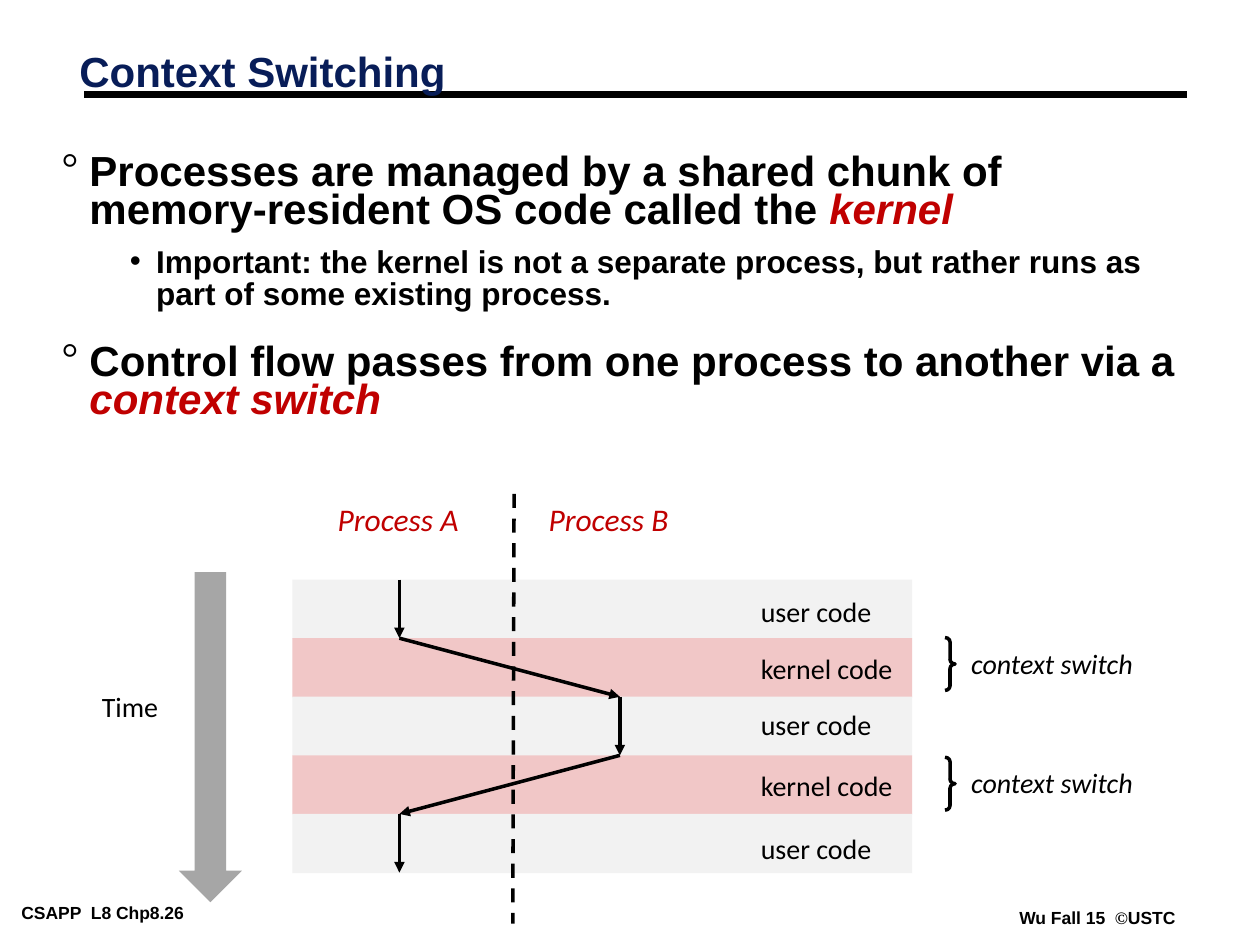
from dataclasses import dataclass
from typing import NamedTuple

import lxml.etree
import pptx
import pptx.dml.color
import pptx.enum.dml
import pptx.enum.shapes
import pptx.enum.text
import pptx.oxml.ns
import pptx.util

Inches = pptx.util.Inches
Shape = pptx.enum.shapes.MSO_SHAPE
Align = pptx.enum.text.PP_ALIGN
qn = pptx.oxml.ns.qn


@dataclass(frozen=True)
class Theme:
    black: str = "000000"
    navy: str = "081D58"
    red: str = "C00000"
    user: str = "F2F2F2"
    kernel: str = "F1C7C7"
    arrow: str = "A6A6A6"
    head_font: str = "Arial"
    label_font: str = "Calibri"
    symbol_font: str = "Times New Roman"
    head: int = 24
    sub: int = 18
    label: int = 16
    footer: int = 10
    rule: float = 4.5
    stroke: float = 2


THEME = Theme()


class Run(NamedTuple):
    text: str
    size: int = THEME.label
    font: str = THEME.label_font
    color: str = THEME.black
    bold: bool = False
    italic: bool = False


class Box(NamedTuple):
    left: float
    top: float
    width: float
    height: float


class Line(NamedTuple):
    x1: float
    y1: float
    x2: float
    y2: float
    width: float = THEME.stroke
    arrow: bool = False
    dashed: bool = False


class Bullet(NamedTuple):
    char: str
    font: str
    margin: float
    hang: float
    spacing: float
    before: float


class Point(NamedTuple):
    bullet: Bullet
    runs: list[Run]


def rgb(color: str) -> pptx.dml.color.RGBColor:
    return pptx.dml.color.RGBColor.from_string(color)


def heading(text: str, size: int = THEME.head, color: str = THEME.black, italic: bool = False) -> Run:
    return Run(text, size, THEME.head_font, color, True, italic)


def add_runs(p, runs: list[Run]) -> None:
    for run in runs:
        r = p.add_run()
        r.text = run.text
        r.font.size = pptx.util.Pt(run.size)
        r.font.name = run.font
        r.font.bold = run.bold
        r.font.italic = run.italic
        r.font.color.rgb = rgb(run.color)


def add_frame(s, box: Box, inset_x: float = 0.07, inset_y: float = 0.03, wrap: bool = True):
    """Add an empty text box and return its text frame."""
    tf = s.shapes.add_textbox(*map(Inches, box)).text_frame
    tf.margin_left = tf.margin_right = Inches(inset_x)
    tf.margin_top = tf.margin_bottom = Inches(inset_y)
    tf.word_wrap = wrap
    if not wrap:
        tf.auto_size = pptx.enum.text.MSO_AUTO_SIZE.SHAPE_TO_FIT_TEXT
    return tf


def add_label(s, box: Box, run: Run, align=Align.LEFT) -> None:
    p = add_frame(s, box, 0.1, 0.05, wrap=False).paragraphs[0]
    p.alignment = align
    add_runs(p, [run])


def add_points(s, box: Box, points: list[Point]) -> None:
    tf = add_frame(s, box)
    for i, (bullet, runs) in enumerate(points):
        p = tf.add_paragraph() if i else tf.paragraphs[0]
        p.line_spacing = bullet.spacing
        if i:
            p.space_before = pptx.util.Pt(bullet.before)
        pPr = p._p.get_or_add_pPr()
        pPr.set("marL", str(Inches(bullet.margin)))
        pPr.set("indent", str(-Inches(bullet.hang)))
        color = lxml.etree.SubElement(pPr, qn("a:buClr"))
        lxml.etree.SubElement(color, qn("a:srgbClr"), val=THEME.black)
        lxml.etree.SubElement(pPr, qn("a:buFont"), typeface=bullet.font)
        lxml.etree.SubElement(pPr, qn("a:buChar"), char=bullet.char)
        add_runs(p, runs)


def add_filled(s, kind, box: Box, color: str) -> None:
    sp = s.shapes.add_shape(kind, *map(Inches, box))
    sp.shadow.inherit = False
    sp.fill.solid()
    sp.fill.fore_color.rgb = rgb(color)
    sp.line.fill.background()


def add_brace(s, box: Box) -> None:
    sp = s.shapes.add_shape(Shape.RIGHT_BRACE, *map(Inches, box))
    sp.adjustments[0] = 0.45
    sp.shadow.inherit = False
    sp.fill.background()
    sp.line.color.rgb = rgb(THEME.black)
    sp.line.width = pptx.util.Pt(THEME.stroke)


def add_line(s, line: Line) -> None:
    ends = map(Inches, (line.x1, line.y1, line.x2, line.y2))
    sp = s.shapes.add_connector(pptx.enum.shapes.MSO_CONNECTOR.STRAIGHT, *ends)
    sp.line.color.rgb = rgb(THEME.black)
    sp.line.width = pptx.util.Pt(line.width)
    if line.dashed:
        sp.line.dash_style = pptx.enum.dml.MSO_LINE.DASH
    if line.arrow:
        lxml.etree.SubElement(sp.line._get_or_add_ln(), qn("a:tailEnd"), type="triangle")
    lxml.etree.SubElement(sp._element.spPr, qn("a:effectLst"))


def add_text(s) -> None:
    p = add_frame(s, Box(0.56, 0.39, 6.39, 0.63)).paragraphs[0]
    p.line_spacing = 0.87
    add_runs(p, [heading("Context Switching", color=THEME.navy)])

    main = Bullet("°", THEME.symbol_font, 0.22, 0.22, 0.75, 19.5)
    sub = Bullet("•", THEME.head_font, 0.75, 0.21, 0.85, 9)
    add_points(s, Box(0.42, 1.21, 9.07, 2.79), [
        Point(main, [heading("Processes are managed by a shared chunk of memory-resident OS code called the "),
                     heading("kernel", color=THEME.red, italic=True)]),
        Point(sub, [heading("Important: the kernel is not a separate process, but rather runs as "
                            "part of some existing process.", THEME.sub)]),
        Point(main, [heading("Control flow passes from one process to another via a "),
                     heading("context switch", color=THEME.red, italic=True)]),
    ])


def add_footers(s) -> None:
    left = add_frame(s, Box(0.1, 7.13, 1.95, 0.22))
    add_runs(left.paragraphs[0], [heading("CSAPP  L8 Chp8.26", THEME.footer)])
    right = add_frame(s, Box(8.02, 7.17, 1.38, 0.22), wrap=False)
    add_runs(right.paragraphs[0], [
        heading("Wu Fall 15  ", THEME.footer),
        Run("©", THEME.footer, THEME.symbol_font, bold=True),
        heading("USTC", THEME.footer),
    ])


def add_timeline(s) -> None:
    top, pitch = 4.6, 0.465
    x_a, x_b = 3.17, 4.92
    label_tops = (4.67, 5.12, 5.57, 6.05, 6.55)
    flow = [x_a, x_a, x_b, x_b, x_a, x_a]
    for i in range(len(label_tops)):
        color = THEME.kernel if i % 2 else THEME.user
        add_filled(s, Shape.RECTANGLE, Box(2.32, top + i * pitch, 4.92, 0.47), color)

    for name, left in (("Process A", 2.58), ("Process B", 4.25)):
        run = Run(name, THEME.sub, color=THEME.red, italic=True)
        add_label(s, Box(left, 3.92, 1.16, 0.4), run, Align.CENTER)
    add_line(s, Line(4.08, 3.92, 4.07, 7.33, dashed=True))

    for i, y in enumerate(label_tops):
        text, width = ("kernel code", 1.25) if i % 2 else ("user code", 1.08)
        add_label(s, Box(5.94, y, width, 0.37), Run(text))
        add_line(s, Line(flow[i], top + i * pitch, flow[i + 1], top + (i + 1) * pitch, arrow=True))

    for y in (5.06, 6.01):
        add_brace(s, Box(7.5, y, 0.08, 0.42))
        add_label(s, Box(7.61, y + 0.02, 1.49, 0.37), Run("context switch", italic=True))

    add_label(s, Box(0.71, 5.42, 0.68, 0.37), Run("Time"))
    add_filled(s, Shape.DOWN_ARROW, Box(1.42, 4.54, 0.5, 2.62), THEME.arrow)


def main() -> None:
    prs = pptx.Presentation()
    prs.slide_width, prs.slide_height = Inches(10), Inches(7.5)
    s = prs.slides.add_slide(prs.slide_layouts[6])
    add_footers(s)
    add_line(s, Line(0.67, 0.75, 9.42, 0.75, THEME.rule))
    add_text(s)
    add_timeline(s)
    prs.save("out.pptx")


if __name__ == "__main__":
    main()
